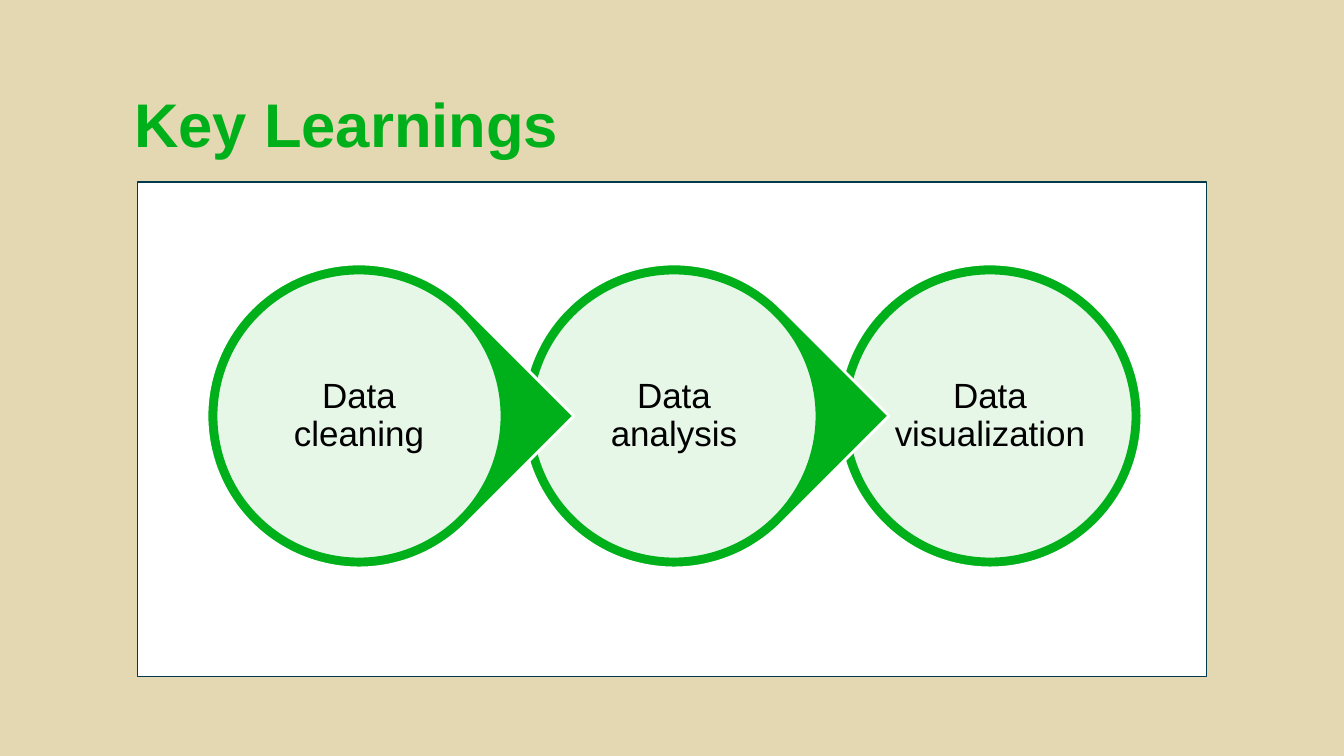
from lxml import etree
from pptx import Presentation
from pptx.dml.color import RGBColor
from pptx.enum.shapes import MSO_SHAPE as Shape
from pptx.enum.text import MSO_ANCHOR as Anchor, PP_ALIGN as Align
from pptx.oxml.ns import qn
from pptx.util import Pt

EMU_PER_PX = 914400 / 100.8
COLORS = {
    "sand": "E3D8B1",
    "green": "00B01A",
    "white": "FFFFFF",
    "navy": "003A4C",
    "black": "000000",
}
FONT = "Arial"


def px(length):
    return round(length * EMU_PER_PX)


def color(name):
    return RGBColor.from_string(COLORS[name])


def write_text(frame, text, size, ink, bold=False, align=Align.LEFT, margins=(10, 5)):
    frame.word_wrap = True
    frame.vertical_anchor = Anchor.MIDDLE
    frame.margin_left = frame.margin_right = px(margins[0])
    frame.margin_top = frame.margin_bottom = px(margins[1])
    paragraph = frame.paragraphs[0]
    paragraph.alignment = align
    paragraph.line_spacing = 0.9
    run = paragraph.add_run()
    run.text = text
    run.font.name = FONT
    run.font.size = Pt(size)
    run.font.bold = bold
    run.font.color.rgb = color(ink)


class SlideBuilder:
    def __init__(self, presentation):
        self.slide = presentation.slides.add_slide(presentation.slide_layouts[6])

    def background(self, fill):
        background = self.slide.background.fill
        background.solid()
        background.fore_color.rgb = color(fill)

    def shape(self, kind, left, top, width, height, fill, line, weight=2, opacity=100):
        shape = self.slide.shapes.add_shape(
            kind, px(left), px(top), px(width), px(height))
        shape.shadow.inherit = False
        shape.fill.solid()
        shape.fill.fore_color.rgb = color(fill)
        shape.line.color.rgb = color(line)
        shape.line.width = Pt(weight)
        if opacity < 100:
            tint = shape.fill._xPr.find(qn("a:solidFill"))[0]
            etree.SubElement(tint, qn("a:alpha"), val=str(opacity * 1000))
        return shape

    def text(self, left, top, width, height, text, **style):
        box = self.slide.shapes.add_textbox(px(left), px(top), px(width), px(height))
        write_text(box.text_frame, text, **style)

    def step(self, center_x, center_y, label, pointed):
        def square(size):
            return center_x - size // 2, center_y - size // 2, size, size

        # Outer disc, with a tip to the right when another step follows
        kind = Shape.TEAR if pointed else Shape.OVAL
        disc = self.shape(kind, *square(304), fill="green", line="white")
        if pointed:
            disc.adjustments[0] = 1
            disc.rotation = 45
        # Pale inner disc and its label
        self.shape(Shape.OVAL, *square(286), fill="white", line="green", opacity=90)
        self.text(*square(204), label, size=25, ink="black",
                  align=Align.CENTER, margins=(3, 3))


def main():
    presentation = Presentation()
    presentation.slide_width = px(1344)
    presentation.slide_height = px(756)
    builder = SlideBuilder(presentation)

    # Background, title and white panel
    builder.background("sand")
    builder.text(124, 55, 1159, 146, "Key Learnings", size=44, ink="green", bold=True)
    builder.shape(Shape.RECTANGLE, 138, 182, 1069, 495,
                  fill="white", line="navy", weight=0.75)

    # Steps, drawn from the last so that each tip overlaps the next disc
    labels = ["Data cleaning", "Data analysis", "Data visualization"]
    last = len(labels) - 1
    for index in range(last, -1, -1):
        center_x = 359 + index * 631 // last
        builder.step(center_x, 416, labels[index], pointed=index < last)

    presentation.save("out.pptx")


if __name__ == "__main__":
    main()
